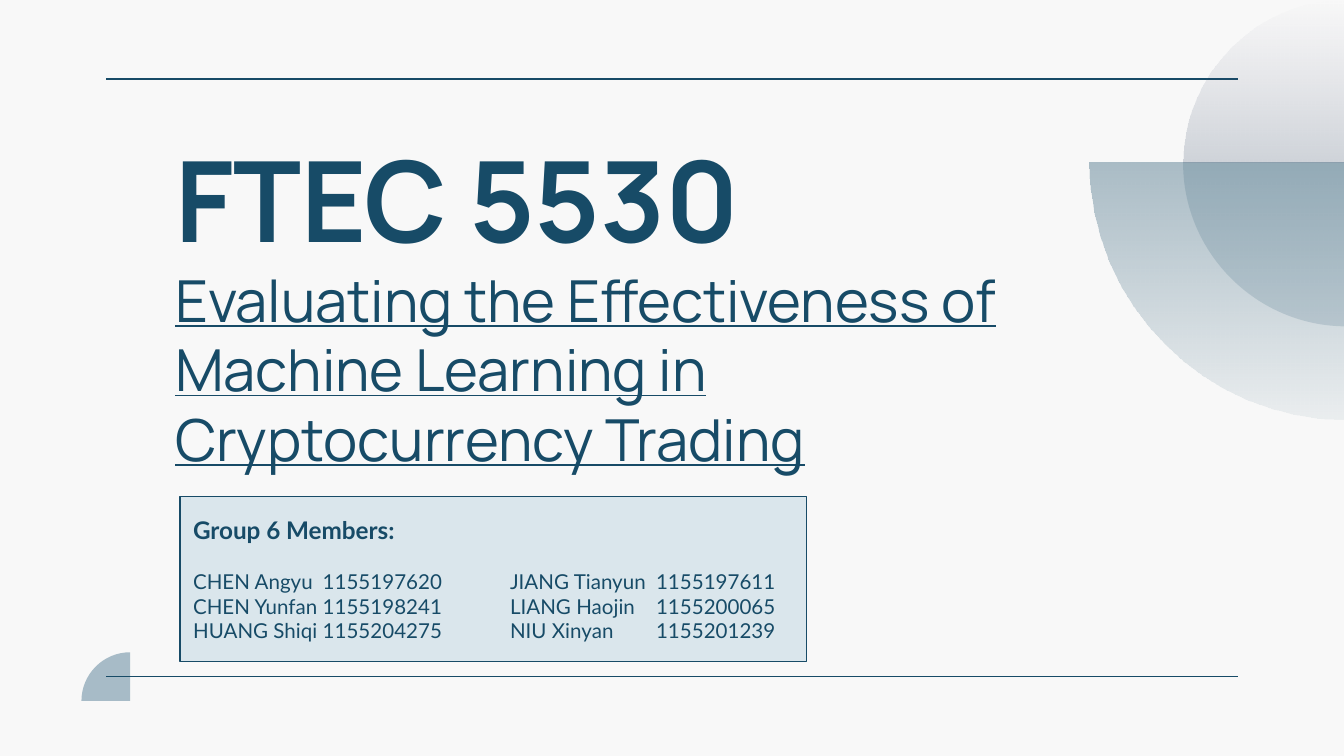
from lxml import etree
from pptx import Presentation
from pptx.dml.color import RGBColor
from pptx.enum.shapes import MSO_CONNECTOR, MSO_SHAPE
from pptx.enum.text import MSO_ANCHOR, PP_ALIGN
from pptx.oxml import parse_xml
from pptx.oxml.ns import nsdecls, qn
from pptx.util import Cm, Pt

STRAIGHT = MSO_CONNECTOR.STRAIGHT
RECTANGLE = MSO_SHAPE.RECTANGLE
BOTTOM, MIDDLE = MSO_ANCHOR.BOTTOM, MSO_ANCHOR.MIDDLE
LEFT = PP_ALIGN.LEFT

BACKGROUND = RGBColor(0xF8, 0xF8, 0xF8)
NAVY = RGBColor(0x17, 0x4B, 0x67)
SLATE = RGBColor(0x29, 0x3F, 0x5D)
VIOLET = RGBColor(0x4B, 0x4F, 0x73)
MIST = RGBColor(0xA7, 0xBB, 0xC7)
PALE_BLUE = RGBColor(0xDA, 0xE6, 0xEC)

COURSE = "FTEC 5530 "
TOPIC = ("Evaluating the Effectiveness of Machine Learning in "
         "Cryptocurrency Trading")
MEMBERS_HEADING = "Group 6 Members:"
MEMBER_ROWS = [
    ("CHEN Angyu", "1155197620", "JIANG Tianyun", "1155197611"),
    ("CHEN Yunfan", "1155198241", "LIANG Haojin", "1155200065"),
    ("HUANG Shiqi", "1155204275", "NIU Xinyan", "1155201239"),
]
MEMBER_TABS = (2.45, 5.99, 8.75)

RULE_LEFT, RULE_RIGHT = 2.01, 23.39
RULE_TOPS = (1.49, 12.79)

UP, DOWN = -1, 1
ARC_HANDLE = 0.55  # Bezier handle length of a quarter circle, per radius
# Centre x and y, radius, side of the centre, then (colour, opacity in
# percent) from top to bottom
CORNER_QUARTER = (2.46, 13.25, 0.92, UP, [(MIST, 100)])
CIRCLE_QUARTERS = [
    (25.45, 3.08, 4.85, DOWN, [(NAVY, 35), (NAVY, 6)]),
    (25.45, 3.08, 3.09, DOWN, [(NAVY, 15)]),
    (25.45, 3.08, 3.09, UP, [(VIOLET, 0), (SLATE, 20)]),
]


def color_xml(color, opacity):
    return (f'<a:srgbClr val="{color}">'
            f'<a:alpha val="{opacity * 1000}"/></a:srgbClr>')


def fill_xml(stops):
    """Return a solid fill for one stop, or a vertical gradient for two."""
    if len(stops) == 1:
        return f'<a:solidFill {nsdecls("a")}>{color_xml(*stops[0])}</a:solidFill>'
    marks = "".join(f'<a:gs pos="{index * 100000}">{color_xml(*stop)}</a:gs>'
                    for index, stop in enumerate(stops))
    return (f'<a:gradFill {nsdecls("a")} rotWithShape="1"><a:gsLst>{marks}'
            f'</a:gsLst><a:lin ang="5400000" scaled="0"/></a:gradFill>')


def add_quarter(slide, center_x, center_y, radius, side, stops):
    """Draw the quarter disc to the left of its centre, above or below."""
    tip_y = center_y + side * radius
    builder = slide.shapes.build_freeform(Cm(center_x - radius), Cm(center_y))
    builder.add_line_segments(
        [(Cm(center_x), Cm(tip_y)), (Cm(center_x), Cm(center_y))], close=True)
    shape = builder.convert_to_shape()
    shape.shadow.inherit = False
    shape.line.fill.background()
    geometry = shape._element.spPr.find(qn("a:custGeom"))
    geometry.addnext(parse_xml(fill_xml(stops)))

    # Bend the first edge into an arc
    size = Cm(radius)
    start_y, end_y = (size, 0) if side == UP else (0, size)
    edge = next(geometry.iter(qn("a:lnTo")))
    edge.tag = qn("a:cubicBezTo")
    handles = [(0, start_y + side * ARC_HANDLE * size),
               (size - ARC_HANDLE * size, end_y)]
    for index, (x, y) in enumerate(handles):
        point = etree.Element(qn("a:pt"), x=str(round(x)), y=str(round(y)))
        edge.insert(index, point)


def add_rule(slide, top):
    rule = slide.shapes.add_connector(
        STRAIGHT, Cm(RULE_LEFT), Cm(top), Cm(RULE_RIGHT), Cm(top))
    rule.line.color.rgb = NAVY
    rule.line.width = Pt(0.75)
    etree.SubElement(rule._element.spPr, qn("a:effectLst"))


def prepare_frame(shape, anchor):
    frame = shape.text_frame
    frame.word_wrap = True
    frame.vertical_anchor = anchor
    frame.margin_left = frame.margin_right = Cm(0.25)
    frame.margin_top = frame.margin_bottom = Cm(0.25)
    return frame


def add_run(paragraph, text, font, size, bold=False, underline=False):
    run = paragraph.add_run()
    run.text = text
    run.font.name = font
    run.font.size = Pt(size)
    run.font.bold = bold
    run.font.underline = underline
    run.font.color.rgb = NAVY


def add_tabs(paragraph, positions):
    tabs = etree.SubElement(paragraph._p.get_or_add_pPr(), qn("a:tabLst"))
    for position in positions:
        etree.SubElement(tabs, qn("a:tab"), pos=str(Cm(position)), algn="l")


def add_title(slide):
    box = slide.shapes.add_textbox(Cm(3.06), Cm(2.08), Cm(16.3), Cm(7.11))
    paragraph = prepare_frame(box, BOTTOM).paragraphs[0]
    add_run(paragraph, COURSE, "Manrope", 60, bold=True)
    add_run(paragraph, TOPIC, "Manrope", 31, underline=True)


def add_members(slide):
    panel = slide.shapes.add_shape(
        RECTANGLE, Cm(3.4), Cm(9.39), Cm(11.84), Cm(3.12))
    panel.shadow.inherit = False
    panel.fill.solid()
    panel.fill.fore_color.rgb = PALE_BLUE
    panel.line.color.rgb = NAVY
    panel.line.width = Pt(0.75)
    frame = prepare_frame(panel, MIDDLE)
    heading = frame.paragraphs[0]
    heading.alignment = LEFT
    add_run(heading, MEMBERS_HEADING, "Lato", 13, bold=True)
    for index, row in enumerate(MEMBER_ROWS):
        paragraph = frame.add_paragraph()
        paragraph.alignment = LEFT
        add_tabs(paragraph, MEMBER_TABS)
        if index == 0:
            paragraph.space_before = Pt(13)
        add_run(paragraph, "\t".join(row), "Lato", 11)


def main():
    presentation = Presentation()
    presentation.slide_width, presentation.slide_height = Cm(25.4), Cm(14.29)
    slide = presentation.slides.add_slide(presentation.slide_layouts[6])
    slide.background.fill.solid()
    slide.background.fill.fore_color.rgb = BACKGROUND
    add_quarter(slide, *CORNER_QUARTER)
    for top in RULE_TOPS:
        add_rule(slide, top)
    add_title(slide)
    add_members(slide)
    for quarter in CIRCLE_QUARTERS:
        add_quarter(slide, *quarter)
    presentation.save("out.pptx")


if __name__ == "__main__":
    main()
